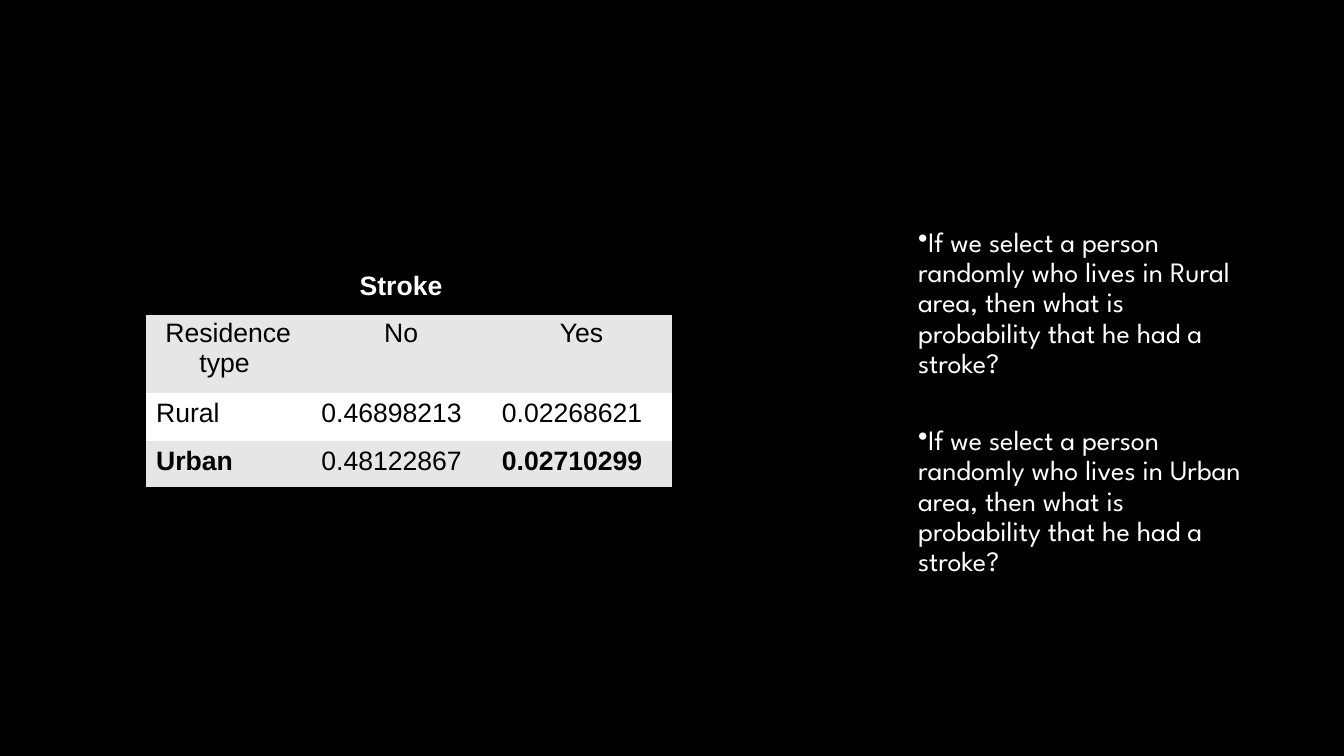
"""Build a slide with a stroke table and two questions about it."""
from dataclasses import dataclass
from typing import Any

from lxml.etree import SubElement
from pptx import Presentation
from pptx.dml.color import RGBColor
from pptx.enum.text import MSO_ANCHOR, PP_ALIGN
from pptx.oxml import parse_xml
from pptx.oxml.ns import nsdecls, qn
from pptx.util import Pt

BLACK = RGBColor(0x00, 0x00, 0x00)
WHITE = RGBColor(0xFF, 0xFF, 0xFF)
GREY = RGBColor(0xE6, 0xE6, 0xE6)
PLAIN = "{2D5ABB26-0587-4C30-8999-92F81FD0307C}"
WIDTHS = (118, 129, 129)
PADS = {"margin_left": Pt(7.6), "margin_right": Pt(7.6),
        "margin_top": Pt(3.8), "margin_bottom": Pt(3.8)}
BOX = {"word_wrap": True, "vertical_anchor": MSO_ANCHOR.MIDDLE,
       "margin_top": Pt(31.2), "margin_bottom": Pt(3.6)}


@dataclass(frozen=True)
class Row:
    words: tuple[str, str, str]
    height: float
    fill: RGBColor
    ink: RGBColor = BLACK
    align: PP_ALIGN = PP_ALIGN.LEFT
    bold: tuple[int, ...] = ()
    edges: tuple[str, ...] = ()


ROWS = (
    Row(("", "Stroke", ""), 34, BLACK, WHITE, PP_ALIGN.CENTER, (1,), ("T", "B")),
    Row(("Residence type ", "No", "Yes"), 57, GREY, align=PP_ALIGN.CENTER),
    Row(("Rural", "0.46898213", "0.02268621"), 34, WHITE),
    Row(("Urban", "0.48122867", "0.02710299"), 34, GREY, bold=(0, 2), edges=("B",)),
)


@dataclass(frozen=True)
class Query:
    place: str
    gap: float


ASKS = (Query("Rural", 6), Query("Urban", 33.5))


def style(thing: Any, form: dict[str, Any]) -> None:
    for name, value in form.items():
        setattr(thing, name, value)


def write(para: Any, words: str, ink: RGBColor, form: dict[str, Any]) -> None:
    run = para.add_run()
    run.text = words
    style(run.font, form)
    run.font.color.rgb = ink


def edge(cell: Any, side: str) -> None:
    line = parse_xml(
        f'<a:ln{side} {nsdecls("a")} w="{Pt(2)}"><a:solidFill>'
        f'<a:srgbClr val="{BLACK}"/></a:solidFill></a:ln{side}>')
    cell._tc.get_or_add_tcPr().insert(0, line)


def draw_cell(cell: Any, row: Row, col: int) -> None:
    style(cell, PADS)
    cell.fill.solid()
    cell.fill.fore_color.rgb = row.fill
    for side in reversed(row.edges):
        edge(cell, side)
    if row.words[col]:
        para = cell.text_frame.paragraphs[0]
        para.alignment = row.align
        write(para, row.words[col], row.ink,
              {"size": Pt(19), "name": "Arial", "bold": col in row.bold})


def draw_table(slide: Any) -> None:
    frame = slide.shapes.add_table(
        len(ROWS), len(WIDTHS), Pt(104), Pt(190), Pt(sum(WIDTHS)),
        Pt(sum(row.height for row in ROWS)))
    table = frame.table
    style(table, {"first_row": False, "horz_banding": False})
    next(frame._element.iter(qn("a:tableStyleId"))).text = PLAIN
    for col, width in enumerate(WIDTHS):
        table.columns[col].width = Pt(width)
    for num, row in enumerate(ROWS):
        table.rows[num].height = Pt(row.height)
        for col in range(len(WIDTHS)):
            draw_cell(table.cell(num, col), row, col)


def add_dot(para: Any) -> None:
    props = para._p.get_or_add_pPr()
    paint = SubElement(props, qn("a:buClr"))
    SubElement(paint, qn("a:srgbClr")).set("val", str(WHITE))
    SubElement(props, qn("a:buChar")).set("char", "•")


def draw_asks(slide: Any) -> None:
    frame = slide.shapes.add_textbox(
        Pt(648.7), Pt(64.8), Pt(246.2), Pt(418.3)).text_frame
    style(frame, BOX)
    for num, ask in enumerate(ASKS):
        para = frame.add_paragraph() if num else frame.paragraphs[0]
        style(para, {"line_spacing": 0.9, "space_before": Pt(ask.gap)})
        add_dot(para)
        write(para, f"If we select a person randomly who lives in {ask.place} area, "
              "then what is probability that he had a stroke?", WHITE,
              {"size": Pt(20), "name": "League Spartan"})


def main() -> None:
    deck = Presentation()
    style(deck, {"slide_width": Pt(960), "slide_height": Pt(540)})
    slide = deck.slides.add_slide(deck.slide_layouts[6])
    slide.background.fill.solid()
    slide.background.fill.fore_color.rgb = BLACK
    draw_asks(slide)
    draw_table(slide)
    deck.save("out.pptx")


if __name__ == "__main__":
    main()
